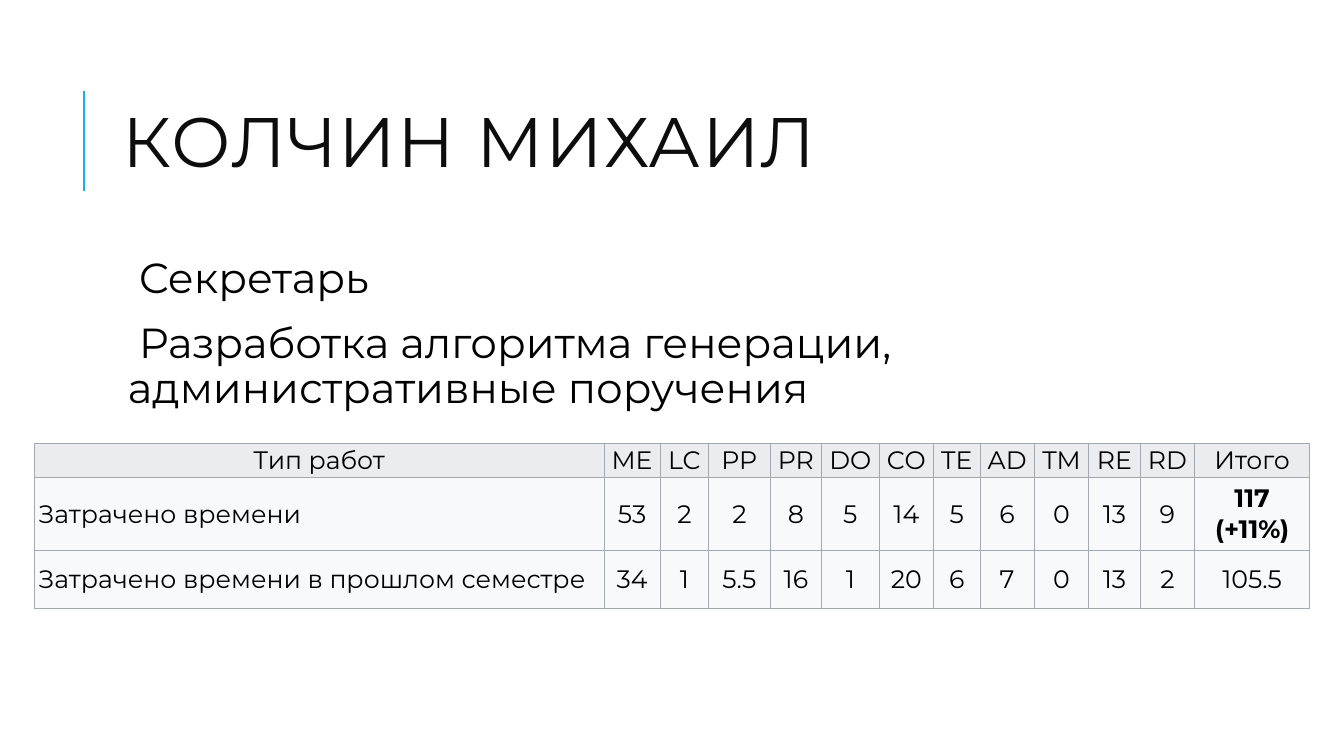
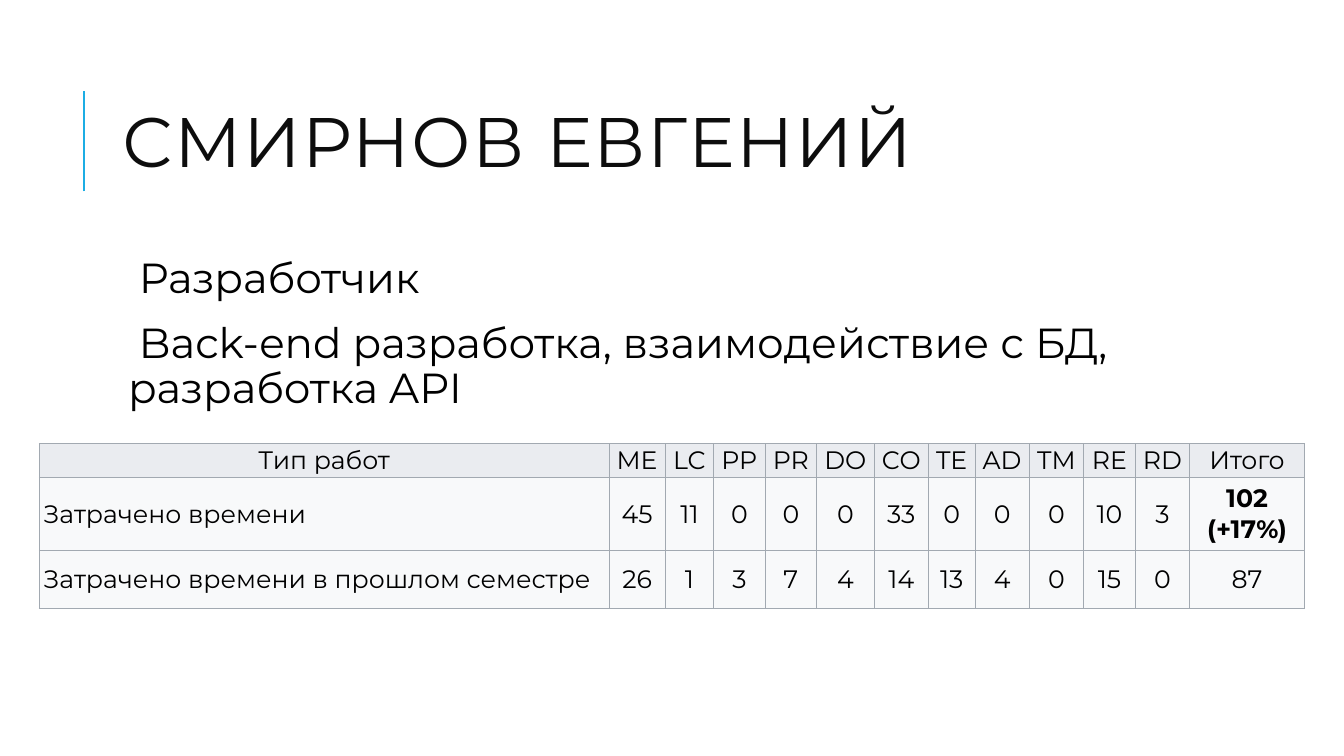
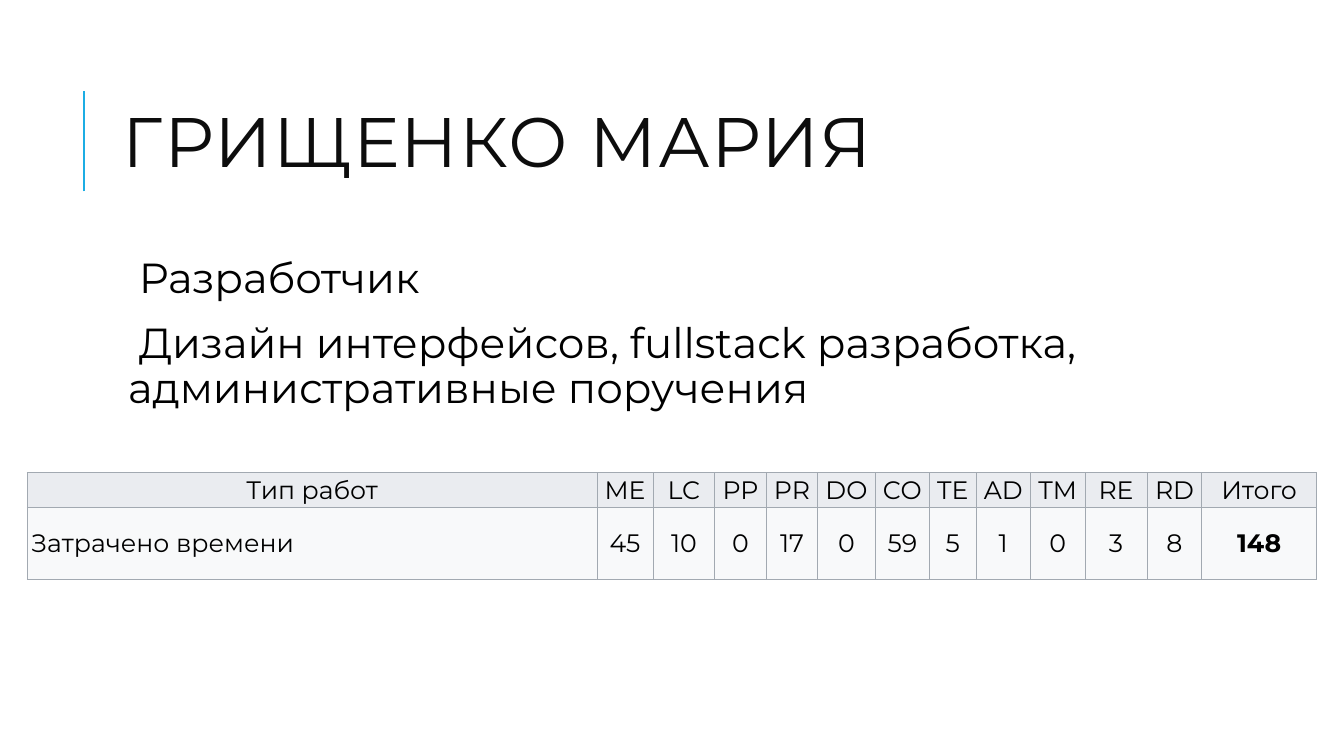
import pptx
import pptx.dml.color
import pptx.enum.shapes
import pptx.enum.text
import pptx.oxml
import pptx.oxml.ns
import pptx.util

COLORS = {
    "accent": "1CADE4",
    "title": "0D0D0D",
    "text": "000000",
    "border": "A2A9B1",
    "head": "EAECF0",
    "cell": "F8F9FA",
}
FONT = "Montserrat"
HEADINGS = ["Тип работ", "ME", "LC", "PP", "PR", "DO", "CO", "TE", "AD", "TM", "RE", "RD", "Итого"]
COLUMN_SHARES = [42.38, 4.2, 3.6, 3.83, 3.83, 4.28, 4.05, 3.45, 4.05, 4.05, 3.83, 4.05, 8.55]
ROW_SHARES = [4.4, 9.6, 7.73]
TABLE_MIDDLE = 69.53
SPENT = "Затрачено времени"
SPENT_BEFORE = "Затрачено времени в прошлом семестре"

MEMBERS = [
    {
        "name": "КОЛЧИН МИХАИЛ",
        "duties": ["Секретарь", "Разработка алгоритма генерации, административные поручения"],
        "duties_width": 81.38,
        "wide_columns": {"PP": 4.58},
        "hours": [
            [SPENT, 53, 2, 2, 8, 5, 14, 5, 6, 0, 13, 9, "117 (+11%)"],
            [SPENT_BEFORE, 34, 1, 5.5, 16, 1, 20, 6, 7, 0, 13, 2, 105.5],
        ],
    },
    {
        "name": "СМИРНОВ ЕВГЕНИЙ",
        "duties": ["Разработчик", "Back-end разработка, взаимодействие с БД, разработка API"],
        "duties_width": 79.73,
        "wide_columns": {},
        "hours": [
            [SPENT, 45, 11, 0, 0, 0, 33, 0, 0, 0, 10, 3, "102 (+17%)"],
            [SPENT_BEFORE, 26, 1, 3, 7, 4, 14, 13, 4, 0, 15, 0, 87],
        ],
    },
    {
        "name": "ГРИЩЕНКО МАРИЯ",
        "duties": ["Разработчик", "Дизайн интерфейсов, fullstack разработка, административные поручения"],
        "duties_width": 88.5,
        "wide_columns": {"LC": 4.58, "RE": 4.65},
        "hours": [[SPENT, 45, 10, 0, 17, 0, 59, 5, 1, 0, 3, 8, 148]],
    },
]


def rgb(name):
    return pptx.dml.color.RGBColor.from_string(COLORS[name])


def add_xml(parent, tag, content="", **attributes):
    pairs = " ".join(f'{key}="{value}"' for key, value in attributes.items())
    namespace = pptx.oxml.ns.nsdecls("a")
    parent.append(pptx.oxml.parse_xml(f"<a:{tag} {namespace} {pairs}>{content}</a:{tag}>"))


class TeamDeck:
    def __init__(self):
        self.deck = pptx.Presentation()
        self.deck.slide_width = pptx.util.Inches(13.33)
        self.deck.slide_height = pptx.util.Inches(7.5)
        self.page = None

    def across(self, share):
        return round(self.deck.slide_width * share / 100)

    def down(self, share):
        return round(self.deck.slide_height * share / 100)

    def place(self, left, top, width, height):
        return self.across(left), self.down(top), self.across(width), self.down(height)

    def format_runs(self, para, size, color, bold=False):
        for span in para.runs:
            span.font.name = FONT
            span.font.size = pptx.util.Pt(size)
            span.font.bold = bold
            span.font.color.rgb = rgb(color)

    def add_page(self, name):
        self.page = self.deck.slides.add_slide(self.deck.slide_layouts[5])
        self.add_rule(6.25, 25.33, 12)
        self.set_title(name)

    def add_rule(self, left, start, end):
        rule = self.page.shapes.add_connector(
            pptx.enum.shapes.MSO_CONNECTOR.STRAIGHT,
            self.across(left), self.down(start), self.across(left), self.down(end))
        rule.line.color.rgb = rgb("accent")
        rule.line.width = pptx.util.Pt(1.5)
        add_xml(rule._element.spPr, "effectLst")

    def set_title(self, name):
        title = self.page.shapes.title
        title.left, title.top, title.width, title.height = self.place(8.4, 8.53, 79.73, 21.87)
        frame = title.text_frame
        frame.text = name
        frame.word_wrap = True
        frame.auto_size = pptx.enum.text.MSO_AUTO_SIZE.NONE
        frame.vertical_anchor = pptx.enum.text.MSO_ANCHOR.MIDDLE
        para = frame.paragraphs[0]
        para.alignment = pptx.enum.text.PP_ALIGN.LEFT
        para.line_spacing = 0.8
        self.format_runs(para, 50, "title")
        para.runs[0].font._element.set("spc", "100")

    def add_duties(self, duties, width):
        box = self.page.shapes.add_textbox(*self.place(8.4, 33.33, width, 23.87))
        frame = box.text_frame
        frame.text = "\n".join(duties)
        frame.word_wrap = True
        frame.margin_left = frame.margin_right = pptx.util.Inches(0.05)
        frame.margin_top = frame.margin_bottom = pptx.util.Inches(0.05)
        indent = pptx.util.Inches(0.1)
        for para in frame.paragraphs:
            para.line_spacing = 0.9
            para.space_before = pptx.util.Pt(12)
            para.space_after = pptx.util.Pt(2)
            self.format_runs(para, 30, "text")
            properties = para._p.get_or_add_pPr()
            properties.set("marL", str(indent))
            properties.set("indent", str(-indent))
            add_xml(properties, "buClr", f'<a:srgbClr val="{COLORS["accent"]}"/>')
            add_xml(properties, "buChar", char=" ")

    def add_hours(self, hours, wide_columns):
        rows = [HEADINGS] + hours
        widths = [wide_columns.get(head, share) for head, share in zip(HEADINGS, COLUMN_SHARES)]
        heights = ROW_SHARES[:len(rows)]
        width, height = sum(widths), sum(heights)
        area = self.place((100 - width) / 2, TABLE_MIDDLE - height / 2, width, height)
        table = self.page.shapes.add_table(len(rows), len(HEADINGS), *area).table
        table.first_row = table.horz_banding = False
        for column, share in zip(table.columns, widths):
            column.width = self.across(share)
        for row, share in zip(table.rows, heights):
            row.height = self.down(share)
        last = len(HEADINGS) - 1
        for i, values in enumerate(rows):
            for j, value in enumerate(values):
                self.fill_cell(table.cell(i, j), str(value), head=i == 0, label=j == 0,
                               bold=i == 1 and j == last)

    def fill_cell(self, cell, text, head, label, bold):
        cell.text = text
        cell.vertical_anchor = pptx.enum.text.MSO_ANCHOR.MIDDLE
        if head or label:
            cell.margin_left = cell.margin_right = pptx.util.Inches(0.04)
            cell.margin_top = cell.margin_bottom = pptx.util.Inches(0.02)
        para = cell.text_frame.paragraphs[0]
        align = pptx.enum.text.PP_ALIGN
        para.alignment = align.LEFT if label and not head else align.CENTER
        self.format_runs(para, 18, "text", bold)
        color = f'<a:solidFill><a:srgbClr val="{COLORS["border"]}"/></a:solidFill>'
        for side in "LRTB":
            add_xml(cell._tc.get_or_add_tcPr(), f"ln{side}", color, w=pptx.util.Pt(0.5))
        cell.fill.solid()
        cell.fill.fore_color.rgb = rgb("head" if head else "cell")


def main():
    team = TeamDeck()
    for member in MEMBERS:
        team.add_page(member["name"])
        team.add_duties(member["duties"], member["duties_width"])
        team.add_hours(member["hours"], member["wide_columns"])
    team.deck.save("out.pptx")


if __name__ == "__main__":
    main()
